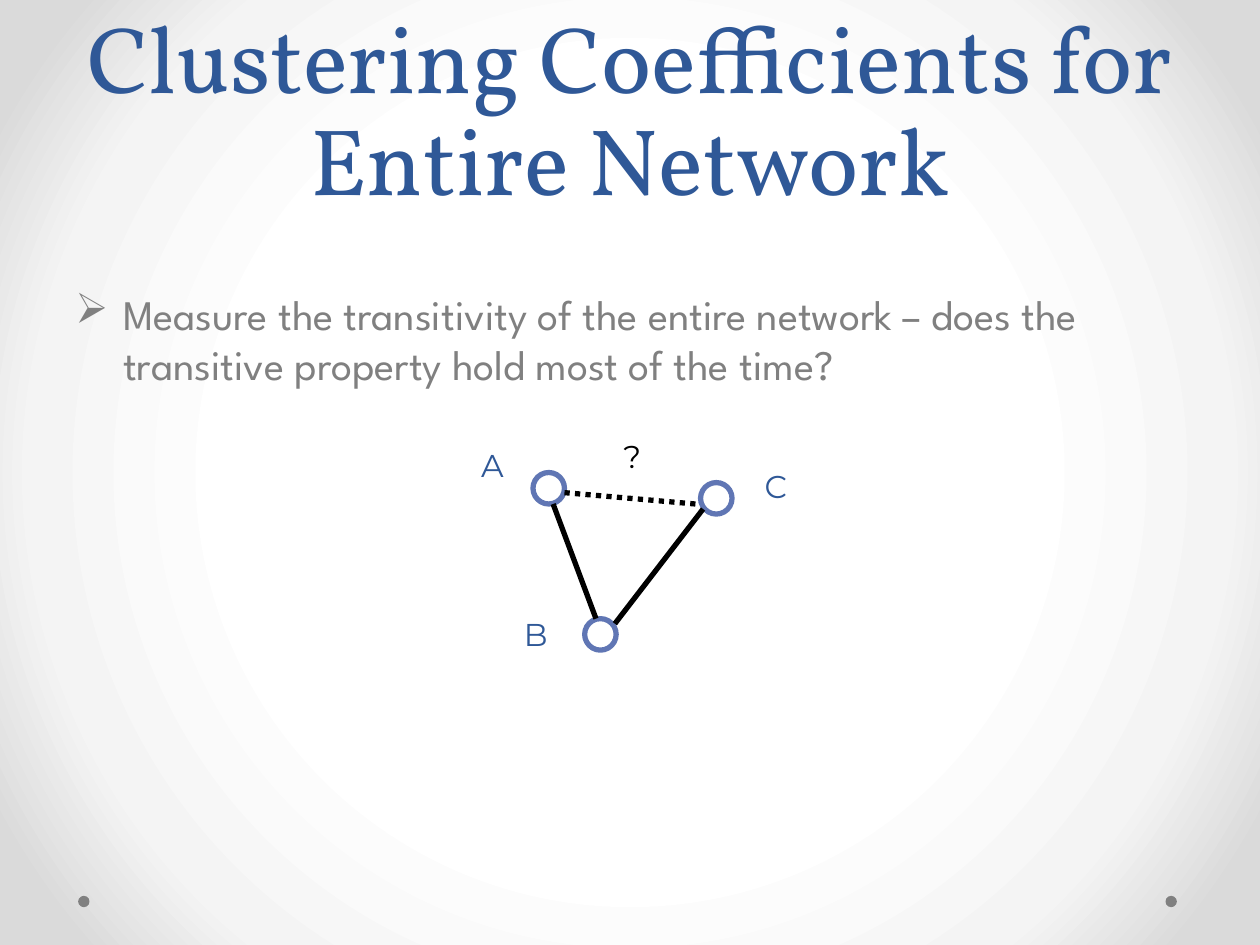
from lxml.etree import SubElement as Sub
from pptx import Presentation
from pptx.dml.color import RGBColor as RGB
from pptx.enum.dml import MSO_LINE as Dash
from pptx.enum.shapes import MSO_CONNECTOR as Link, MSO_SHAPE as Shape
from pptx.enum.text import MSO_ANCHOR as Anchor, PP_ALIGN as Align
from pptx.oxml import parse_xml
from pptx.oxml.ns import nsdecls, qn
from pptx.util import Inches, Pt

HUES = {"title": "2F5897", "body": "808080", "ring": "6076B4", "edge": "000000"}
GLOW = {50: "FFFFFF", 76: "F4F4F4", 92: "DADADA"}

deck = Presentation()
deck.slide_width, deck.slide_height = Inches(10), Inches(7.5)
slide = deck.slides.add_slide(deck.slide_layouts[6])
shapes = slide.shapes


def write(text, box, font, size, hue, wrap=False, align=Align.LEFT,
          anchor=Anchor.TOP, pitch=None, bullet=None):
    frame = shapes.add_textbox(*map(Inches, box)).text_frame
    frame.word_wrap, frame.vertical_anchor = wrap, anchor
    para = frame.paragraphs[0]
    para.alignment = align
    if pitch:
        para.line_spacing = Pt(pitch)
    if bullet:
        props = para._p.get_or_add_pPr()
        props.set("marL", str(Inches(0.38)))
        props.set("indent", str(-Inches(0.38)))
        Sub(props, qn("a:buChar"), char=bullet)
    run = para.add_run()
    run.text = text
    run.font.name, run.font.size = font, Pt(size)
    run.font.color.rgb = RGB.from_string(HUES[hue])


def ring(x, y, size, fill=None, line=None):
    dot = shapes.add_shape(Shape.OVAL, *map(Inches, (x, y, size, size)))
    dot.shadow.inherit = False
    if fill:
        dot.fill.solid()
        dot.fill.fore_color.rgb = RGB.from_string(HUES[fill])
    else:
        dot.fill.background()
    if line:
        dot.line.color.rgb = RGB.from_string(HUES[line])
        dot.line.width = Pt(3)
    else:
        dot.line.fill.background()


# Background glow
stops = "".join(f'<a:gs pos="{pos * 1000}"><a:srgbClr val="{hue}"/></a:gs>'
                for pos, hue in GLOW.items())
slide.element.cSld.insert(0, parse_xml(
    f'<p:bg {nsdecls("p", "a")}><p:bgPr><a:gradFill><a:gsLst>{stops}</a:gsLst>'
    '<a:path path="circle"><a:fillToRect l="50000" t="50000" r="50000" b="50000"/>'
    '</a:path></a:gradFill><a:effectLst/></p:bgPr></p:bg>'))

# Footer dots
for x in (9.25, 0.62):
    ring(x, 7.11, 0.09, fill="body")

# Title and point
write("Clustering Coefficients for Entire Network", (0.5, 0, 9, 1.75), "Vollkorn", 54,
      "title", wrap=True, align=Align.CENTER, anchor=Anchor.BOTTOM, pitch=58)
write("Measure the transitivity of the entire network – does the transitive property "
      "hold most of the time?", (0.5, 2.24, 9, 4.46), "League Spartan", 24, "body",
      wrap=True, bullet="➢")

# Network: nodes, then edges
for x, y in ((4.23, 3.75), (4.64, 4.91), (5.56, 3.83)):
    ring(x, y, 0.25, line="ring")

for ends, dash in (((5.58, 4.04, 4.88, 4.95), None),
                   ((4.48, 3.91, 5.52, 4), Dash.ROUND_DOT),
                   ((4.39, 4, 4.73, 4.91), None)):
    edge = shapes.add_connector(Link.STRAIGHT, *map(Inches, ends))
    edge.line.color.rgb = RGB.from_string(HUES["edge"])
    edge.line.width = Pt(3)
    if dash:
        edge.line.dash_style = dash
    Sub(edge._element.spPr, qn("a:effectLst"))

# Labels
for name, x, y, hue in (("A", 3.72, 3.49, "title"), ("B", 4.06, 4.83, "title"),
                        ("C", 5.97, 3.66, "title"), ("?", 4.85, 3.42, "edge")):
    write(name, (x, y, 0.4, 0.4), "Montserrat", 18, hue)

deck.save("out.pptx")
